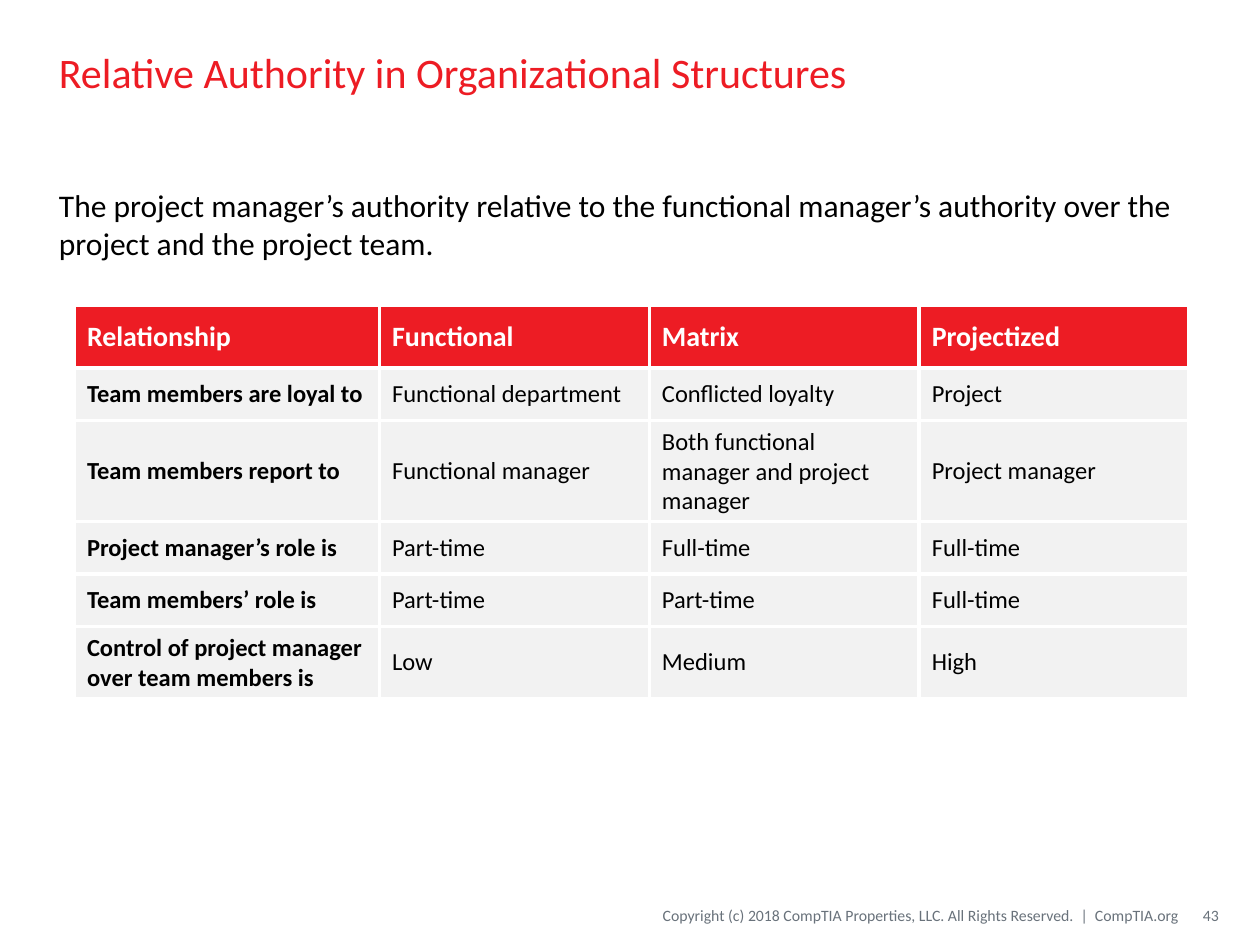
from dataclasses import dataclass

from lxml import etree
from pptx import Presentation
from pptx import util as u
from pptx.dml.color import RGBColor
from pptx.enum import text
from pptx.oxml import ns


@dataclass(frozen=True)
class Theme:
    font: str = "Calibri"
    red: str = "ED1C24"
    ink: str = "000000"
    white: str = "FFFFFF"
    grey: str = "69727B"
    row_fill: str = "F2F2F2"
    title: int = 24
    body: int = 18
    header: int = 16
    cell: int = 14
    footer: int = 9
    rule: float = 2.25


def write(frame, words, size, color, font, bold=False, align=text.PP_ALIGN.LEFT):
    paragraph = frame.paragraphs[0]
    paragraph.alignment = align
    run = paragraph.add_run()
    run.text = words
    run.font.name = font
    run.font.size = u.Pt(size)
    run.font.bold = bold
    run.font.color.rgb = RGBColor.from_string(color)


class SlideBuilder:
    def __init__(self, slide, theme):
        self.slide = slide
        self.theme = theme

    def text_box(self, words, place, anchor=text.MSO_ANCHOR.MIDDLE,
                 insets=(0.25, 0.25), **style):
        frame = self.slide.shapes.add_textbox(*map(u.Cm, place)).text_frame
        frame.word_wrap = True
        frame.vertical_anchor = anchor
        frame.margin_left, frame.margin_right = map(u.Cm, insets)
        write(frame, words, font=self.theme.font, **style)

    def cell_borders(self, cell):
        properties = cell._tc.get_or_add_tcPr()
        for side in ("lnL", "lnR", "lnT", "lnB"):
            line = etree.SubElement(properties, ns.qn(f"a:{side}"),
                                    w=str(u.Pt(self.theme.rule)))
            fill = etree.SubElement(line, ns.qn("a:solidFill"))
            etree.SubElement(fill, ns.qn("a:srgbClr"), val=self.theme.white)

    def table(self, rows, left, top, widths, heights):
        theme = self.theme
        place = map(u.Cm, (left, top, sum(widths), sum(heights)))
        table = self.slide.shapes.add_table(len(rows), len(widths), *place).table
        table.horz_banding = False
        for column, width in zip(table.columns, widths):
            column.width = u.Cm(width)
        for row, height in zip(table.rows, heights):
            row.height = u.Cm(height)
        for r, row in enumerate(rows):
            header = r == 0
            for c, words in enumerate(row):
                cell = table.cell(r, c)
                cell.vertical_anchor = text.MSO_ANCHOR.MIDDLE
                self.cell_borders(cell)
                cell.fill.solid()
                cell.fill.fore_color.rgb = RGBColor.from_string(
                    theme.red if header else theme.row_fill)
                write(cell.text_frame, words, font=theme.font,
                      size=theme.header if header else theme.cell,
                      color=theme.white if header else theme.ink,
                      bold=header or c == 0)


AUTHORITY = [
    ("Relationship", "Functional", "Matrix", "Projectized"),
    ("Team members are loyal to", "Functional department", "Conflicted loyalty", "Project"),
    ("Team members report to", "Functional manager",
     "Both functional manager and project manager", "Project manager"),
    ("Project manager’s role is", "Part-time", "Full-time", "Full-time"),
    ("Team members’ role is", "Part-time", "Part-time", "Full-time"),
    ("Control of project manager over team members is", "Low", "Medium", "High"),
]


def main():
    deck = Presentation()
    deck.slide_width, deck.slide_height = u.Cm(25.4), u.Cm(19.05)
    theme = Theme()
    builder = SlideBuilder(deck.slides.add_slide(deck.slide_layouts[6]), theme)

    builder.text_box("Relative Authority in Organizational Structures",
                     (0.94, 0.28, 23.5, 2.34), size=theme.title, color=theme.red)
    builder.text_box("The project manager’s authority relative to the functional manager’s "
                     "authority over the project and the project team.",
                     (0.94, 3.63, 23.5, 12.29), anchor=text.MSO_ANCHOR.TOP,
                     size=theme.body, color=theme.ink)
    builder.table(AUTHORITY, 1.5, 6.15, [6.15] + [5.44] * 3, [1.27] + [1.06] * 5)

    footer = dict(size=theme.footer, color=theme.grey, align=text.PP_ALIGN.RIGHT)
    builder.text_box("Copyright (c) 2018 CompTIA Properties, LLC. All Rights Reserved.  |  CompTIA.org",
                     (9.86, 18.08, 13.89, 0.76), insets=(0, 0), **footer)
    builder.text_box("43", (23.83, 18.08, 0.74, 0.76), insets=(0.25, 0), **footer)
    deck.save("out.pptx")


if __name__ == "__main__":
    main()
